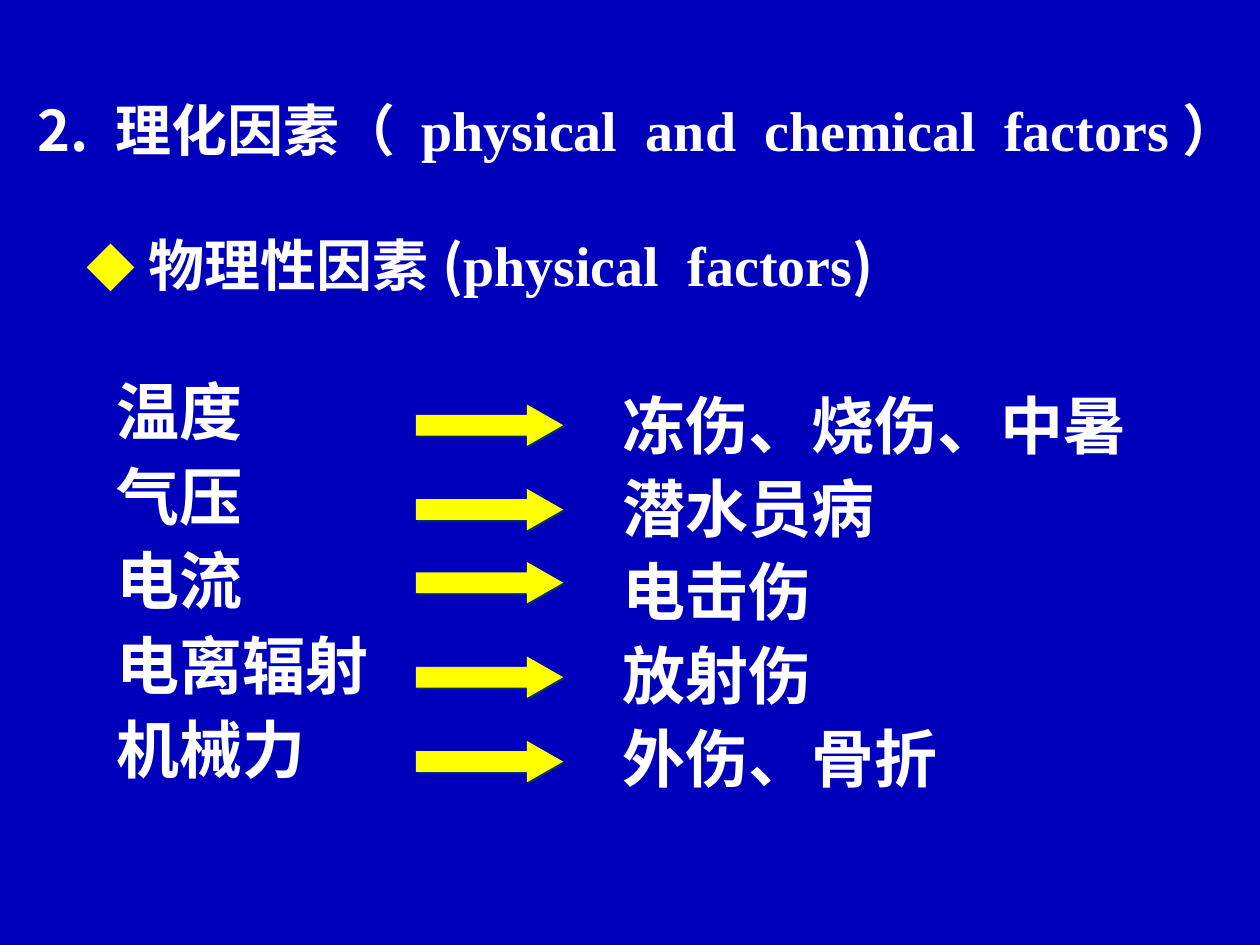
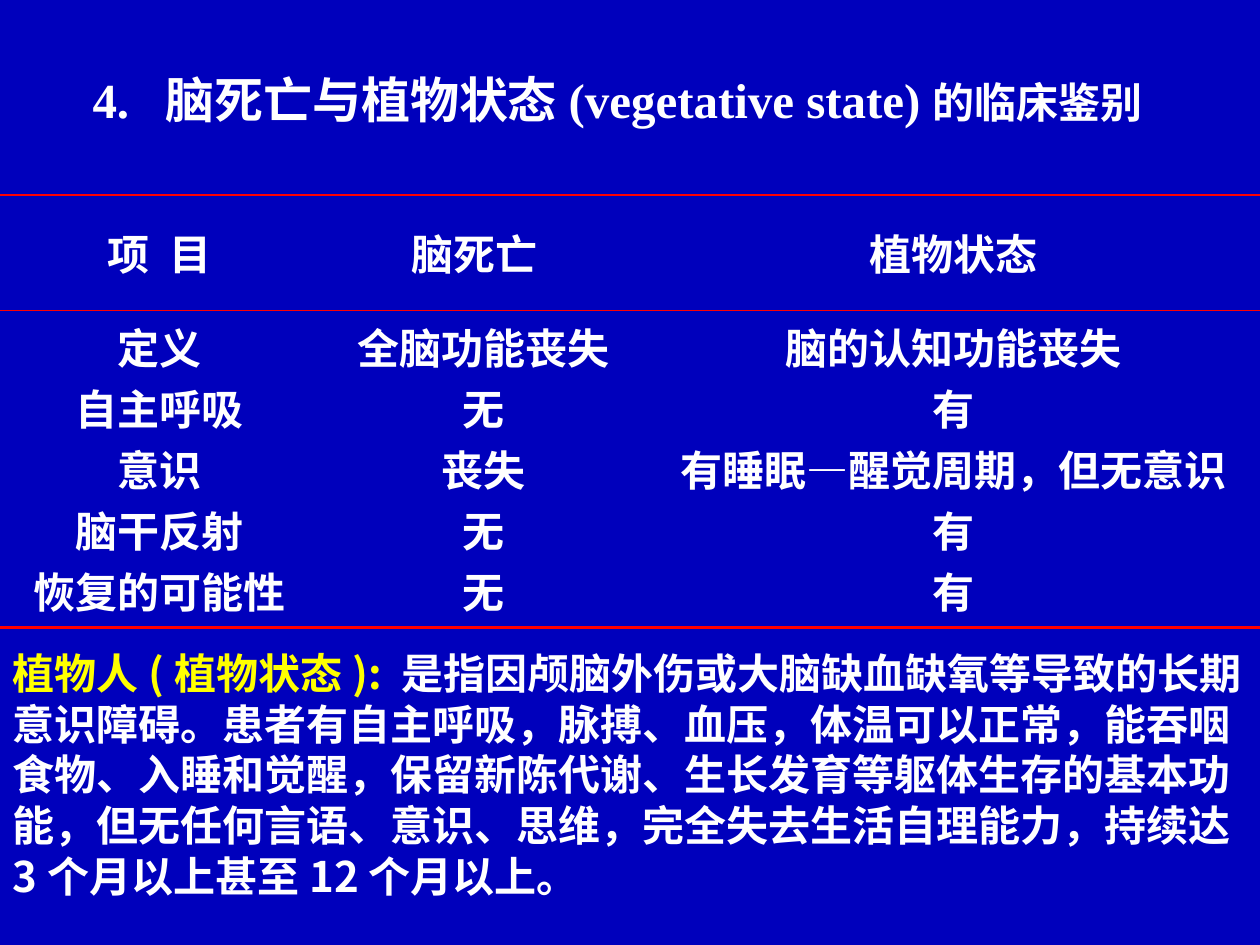
from dataclasses import dataclass
from typing import Optional, Sequence

import pptx
import pptx.dml.color
import pptx.enum.shapes
import pptx.enum.text
import pptx.oxml
import pptx.oxml.ns
import pptx.util
from pptx.util import Inches, Pt

ALIGN = pptx.enum.text.PP_ALIGN
ANCHOR = pptx.enum.text.MSO_ANCHOR


# Theme shared by both slides
@dataclass(frozen=True)
class Theme:
    background: str = "0000BC"
    text: str = "FFFFFF"
    accent: str = "FFFF00"
    rule: str = "FF0000"
    shadow: str = "003366"
    cjk: str = "Noto Sans CJK JP"
    note_font: str = "Noto Sans CJK SC"
    latin: str = "Times New Roman"
    item_size: float = 36
    heading_size: float = 32
    title_size: float = 28
    body_size: float = 24


THEME = Theme()


@dataclass(frozen=True)
class Run:
    text: str
    size: float = THEME.body_size
    font: str = THEME.cjk
    color: str = THEME.text
    wide_spaces: bool = False  # every space is half an em wide


@dataclass(frozen=True)
class Box:
    left: float
    top: float
    width: float
    height: float


Lines = Sequence[Sequence[Run]]


def rgb(value: str) -> pptx.dml.color.RGBColor:
    return pptx.dml.color.RGBColor.from_string(value)


def xml(source: str):
    namespace = pptx.oxml.ns.nsdecls("a")
    return pptx.oxml.parse_xml(source.replace("NS", namespace, 1))


# Text
def add_piece(paragraph, text: str, style: Run, tracking: float = 0) -> None:
    run = paragraph.add_run()
    run.text = text
    run.font.size = Pt(style.size)
    run.font.bold = True
    run.font.name = style.font
    run.font.color.rgb = rgb(style.color)
    east_asian = THEME.cjk if style.font == THEME.latin else style.font
    properties = run.font._element
    properties.append(xml(f'<a:ea NS typeface="{east_asian}"/>'))
    if tracking:
        properties.set("spc", str(round(tracking * 100)))


def add_run(paragraph, style: Run) -> None:
    if not style.wide_spaces:
        add_piece(paragraph, style.text, style)
        return
    for index, word in enumerate(style.text.split(" ")):
        if index:
            add_piece(paragraph, " ", style, style.size / 4)
        if word:
            add_piece(paragraph, word, style)


def fill_text(frame, lines: Lines, align=ALIGN.LEFT,
              line_height: Optional[float] = None, gap: float = 0) -> None:
    for index, runs in enumerate(lines):
        paragraph = frame.add_paragraph() if index else frame.paragraphs[0]
        paragraph.alignment = align
        if line_height:
            paragraph.line_spacing = Pt(line_height)
        if index and gap:
            paragraph.space_before = Pt(gap)
        for run in runs:
            add_run(paragraph, run)


def add_text(slide, box: Box, lines: Lines, align=ALIGN.LEFT,
             line_height: Optional[float] = None, gap: float = 0,
             inset_top: float = 0.05, anchor=ANCHOR.TOP,
             wrap: bool = True) -> None:
    frame = slide.shapes.add_textbox(
        Inches(box.left), Inches(box.top),
        Inches(box.width), Inches(box.height)).text_frame
    frame.word_wrap = wrap
    frame.vertical_anchor = anchor
    frame.margin_top = Inches(inset_top)
    fill_text(frame, lines, align, line_height, gap)


def add_slide(deck):
    slide = deck.slides.add_slide(deck.slide_layouts[6])
    slide.background.fill.solid()
    slide.background.fill.fore_color.rgb = rgb(THEME.background)
    return slide


# Arrow from a physical factor to its injury
def add_arrow(slide, top: float) -> None:
    arrow = slide.shapes.add_shape(
        pptx.enum.shapes.MSO_SHAPE.RIGHT_ARROW,
        Inches(3.3), Inches(top), Inches(1.17), Inches(0.33))
    arrow.adjustments[1] = 0.875
    arrow.fill.solid()
    arrow.fill.fore_color.rgb = rgb(THEME.accent)
    arrow.line.fill.background()
    arrow._element.spPr.append(xml(
        f'<a:effectLst NS><a:outerShdw dist="{Pt(1.4)}" dir="2700000">'
        f'<a:srgbClr val="{THEME.shadow}"/></a:outerShdw></a:effectLst>'))


# Comparison table
def set_borders(cell, top: float, bottom: float) -> None:
    properties = cell._tc.get_or_add_tcPr()
    for side in "LR":
        properties.append(xml(f'<a:ln{side} NS w="0"><a:noFill/></a:ln{side}>'))
    for side, width in (("T", top), ("B", bottom)):
        properties.append(xml(
            f'<a:ln{side} NS w="{Pt(width)}"><a:solidFill>'
            f'<a:srgbClr val="{THEME.rule}"/></a:solidFill></a:ln{side}>'))
    cell.fill.background()


def add_comparison(slide, headers: Sequence[Run],
                   columns: Sequence[Sequence[str]]) -> None:
    # The second row is tall enough for its five lines
    widths, heights = (2.53, 2.61, 4.86), (0.91, 2.52)
    thick, thin = 1.5, 0.45
    table = slide.shapes.add_table(
        2, 3, Inches(0), Inches(1.55),
        Inches(sum(widths)), Inches(sum(heights))).table
    table.first_row = table.horz_banding = False
    for row, height in zip(table.rows, heights):
        row.height = Inches(height)
    for index, (width, header, entries) in enumerate(
            zip(widths, headers, columns)):
        table.columns[index].width = Inches(width)
        head, body = table.cell(0, index), table.cell(1, index)
        head.vertical_anchor = ANCHOR.MIDDLE
        fill_text(head.text_frame, [[header]], ALIGN.CENTER)
        fill_text(body.text_frame, [[Run(e)] for e in entries], ALIGN.CENTER)
        set_borders(head, thick, thin)
        set_borders(body, thin, thick)
    table.cell(0, 1).margin_right = Inches(0.24)


def build_physical_factors(deck) -> None:
    slide = add_slide(deck)
    size = THEME.heading_size
    # Headings
    add_text(slide, Box(0.2, 0.6, 9.8, 1.3), [[
        Run("2. 理化因素（ ", size),
        Run("physical and chemical factors", size, THEME.latin,
            wide_spaces=True),
        Run("）", size),
    ]], line_height=46, wrap=False)
    add_text(slide, Box(0.59, 1.78, 6.93, 0.64), [[
        Run("◆", THEME.title_size, color=THEME.accent),
        Run(" 物理性因素(", size),
        Run("physical factors", size, THEME.latin, wide_spaces=True),
        Run(")", size),
    ]], line_height=38.4, wrap=False)

    # Factors and the injuries they cause
    factors = ("温度", "气压", "电流", "电离辐射", "机械力")
    injuries = ("冻伤、烧伤、中暑", "潜水员病", "电击伤", "放射伤", "外伤、骨折")
    add_text(slide, Box(0.83, 3.12, 2.32, 3.15),
             [[Run(factor, THEME.item_size)] for factor in factors],
             line_height=25.8, gap=22.5, inset_top=0.08)
    add_text(slide, Box(4.84, 2.96, 4.42, 4.06),
             [[Run(injury, THEME.item_size)] for injury in injuries],
             line_height=47.5)
    for top in (3.21, 3.88, 4.46, 5.21, 5.88):
        add_arrow(slide, top)


def build_vegetative_state(deck) -> None:
    slide = add_slide(deck)
    size = THEME.title_size
    # Title
    add_text(slide, Box(0, 0.5, 9.8, 0.57), [[
        Run("4. ", size, THEME.latin, wide_spaces=True),
        Run("脑死亡与植物状态", size),
        Run("(vegetative state)", size, THEME.latin),
        Run("的临床鉴别"),
    ]], align=ALIGN.CENTER, anchor=ANCHOR.MIDDLE)

    # Brain death against vegetative state
    add_comparison(
        slide,
        (Run("项 目", wide_spaces=True), Run("脑死亡"), Run("植物状态")),
        (("定义", "自主呼吸", "意识", "脑干反射", "恢复的可能性"),
         ("全脑功能丧失", "无", "丧失", "无", "无"),
         ("脑的认知功能丧失", "有", "有睡眠—醒觉周期，但无意识", "有", "有")))

    # Definition
    add_text(slide, Box(0, 5.09, 10, 2.1), [[
        Run("植物人(植物状态): ", font=THEME.note_font, color=THEME.accent),
        Run("是指因颅脑外伤或大脑缺血缺氧等导致的长期意识障碍。"
            "患者有自主呼吸，脉搏、血压，体温可以正常，能吞咽食物、入睡和觉醒，"
            "保留新陈代谢、生长发育等躯体生存的基本功能，"
            "但无任何言语、意识、思维，完全失去生活自理能力，"
            "持续达3个月以上甚至12个月以上。", font=THEME.note_font),
    ]], line_height=28.9)


def main() -> None:
    deck = pptx.Presentation()
    deck.slide_width, deck.slide_height = Inches(10), Inches(7.5)
    build_physical_factors(deck)
    build_vegetative_state(deck)
    deck.save("out.pptx")


if __name__ == "__main__":
    main()
